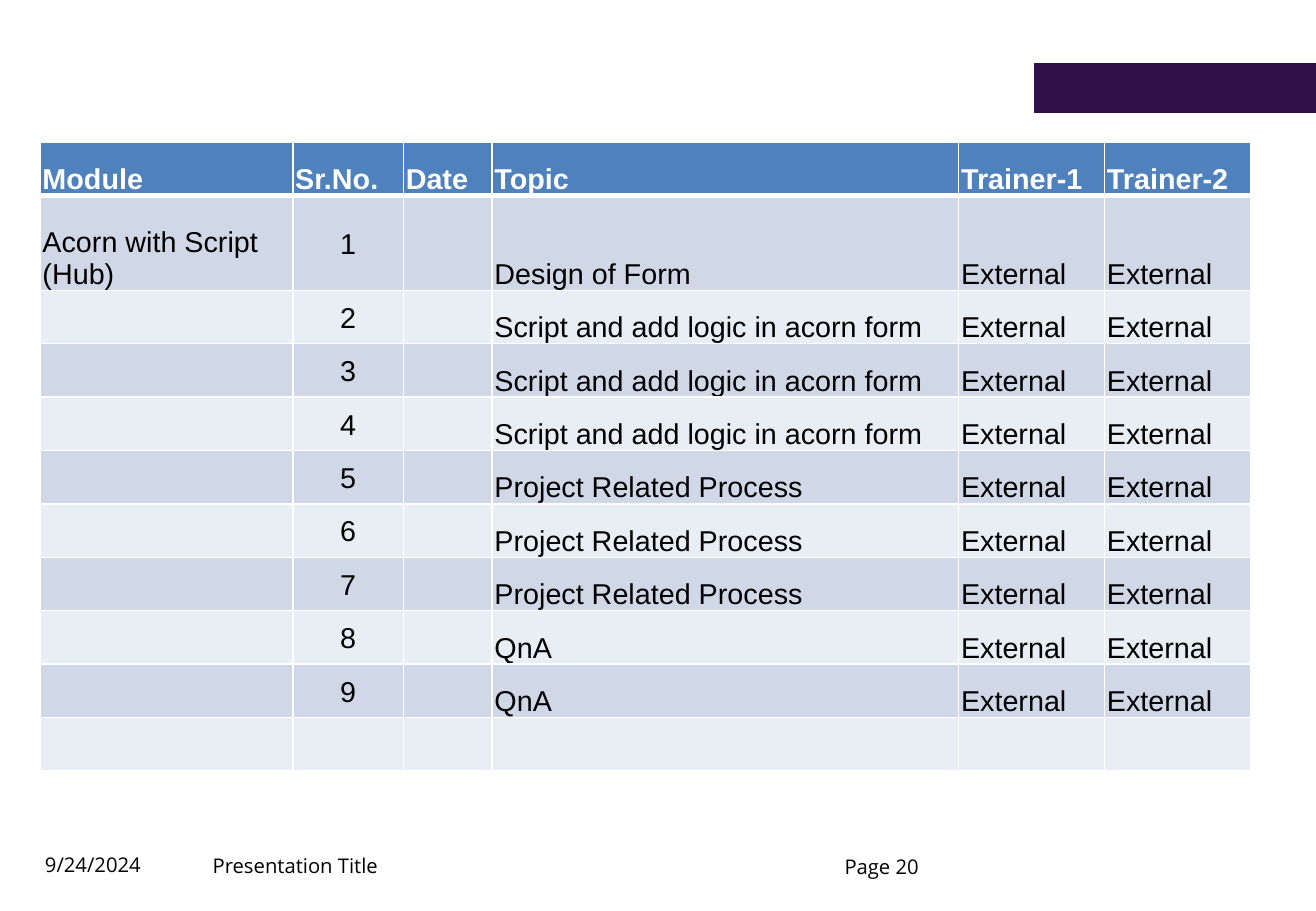
from lxml import etree
from pptx import Presentation
from pptx.dml.color import RGBColor
from pptx.enum.shapes import MSO_SHAPE
from pptx.enum.text import MSO_ANCHOR, PP_ALIGN
from pptx.oxml.ns import qn
from pptx.util import Inches, Pt

RECTANGLE = MSO_SHAPE.RECTANGLE
TOP, MIDDLE, BOTTOM = MSO_ANCHOR.TOP, MSO_ANCHOR.MIDDLE, MSO_ANCHOR.BOTTOM
LEFT, CENTER = PP_ALIGN.LEFT, PP_ALIGN.CENTER


def color(value):
    return RGBColor.from_string(value)


def add_border(cell, side, points):
    line = etree.SubElement(cell._tc.get_or_add_tcPr(), qn("a:" + side), w=str(Pt(points)))
    fill = etree.SubElement(line, qn("a:solidFill"))
    etree.SubElement(fill, qn("a:srgbClr"), val="FFFFFF")


prs = Presentation()
prs.slide_width = Inches(10.83)
prs.slide_height = Inches(7.5)
slide = prs.slides.add_slide(prs.slide_layouts[6])

footers = [
    ("9/24/2024", 0.37, 6.91, 1.58, 0.31, BOTTOM),
    ("Page 20", 6.95, 7.06, 1.39, 0.17, TOP),
    ("Presentation Title", 1.75, 6.92, 1.95, 0.31, BOTTOM),
]
for text, left, top, width, height, anchor in footers:
    footer = slide.shapes.add_textbox(Inches(left), Inches(top), Inches(width), Inches(height))
    frame = footer.text_frame
    frame.word_wrap = True
    frame.vertical_anchor = anchor
    frame.margin_left = frame.margin_right = frame.margin_top = frame.margin_bottom = 0
    frame.text = text
    paragraph = frame.paragraphs[0]
    paragraph.line_spacing = 0.9
    font = paragraph.runs[0].font
    font.name = "Open Sans"
    font.size = Pt(12)
    font.color.rgb = color("000000")

accent_bar = slide.shapes.add_shape(RECTANGLE, Inches(8.51), Inches(0.52), Inches(2.32), Inches(0.41))
accent_bar.shadow.inherit = False
accent_bar.fill.solid()
accent_bar.fill.fore_color.rgb = color("301047")
accent_bar.line.fill.background()

topics = (
    ["Design of Form"]
    + ["Script and add logic in acorn form"] * 3
    + ["Project Related Process"] * 3
    + ["QnA"] * 2
)
schedule = [["Module", "Sr.No.", "Date", "Topic", "Trainer-1", "Trainer-2"]]
for number, topic in enumerate(topics, start=1):
    module = "Acorn with Script (Hub)" if number == 1 else ""
    schedule.append([module, str(number), "", topic, "External", "External"])
schedule.append([""] * 6)

column_widths = [2.08, 0.91, 0.73, 3.84, 1.2, 1.2]
row_heights = [0.44, 0.78] + [0.44] * 9
table = slide.shapes.add_table(
    len(schedule), len(column_widths), Inches(0.33), Inches(1.17), Inches(9.96), Inches(5.18)
).table
for column, width in zip(table.columns, column_widths):
    column.width = Inches(width)
for row, height in zip(table.rows, row_heights):
    row.height = Inches(height)

for r, entries in enumerate(schedule):
    header = r == 0
    band = "4F81BD" if header else "D0D8E8" if r % 2 else "E9EDF4"
    for c, text in enumerate(entries):
        cell = table.cell(r, c)
        numbered = c == 1 and not header
        for side in ("lnL", "lnR", "lnT", "lnB"):
            heavy = (header and side == "lnB") or (r == 1 and side == "lnT")
            add_border(cell, side, 3 if heavy else 1)
        cell.fill.solid()
        cell.fill.fore_color.rgb = color(band)
        cell.margin_left = cell.margin_right = cell.margin_top = Inches(0.02)
        cell.margin_bottom = 0
        cell.vertical_anchor = MIDDLE if numbered else BOTTOM
        cell.text = text
        paragraph = cell.text_frame.paragraphs[0]
        paragraph.alignment = CENTER if numbered else LEFT
        paragraph.font.size = Pt(17)
        for run in paragraph.runs:
            run.font.name = "Arial"
            run.font.size = Pt(17)
            run.font.bold = header
            run.font.color.rgb = color("FFFFFF" if header else "000000")

prs.save("out.pptx")
